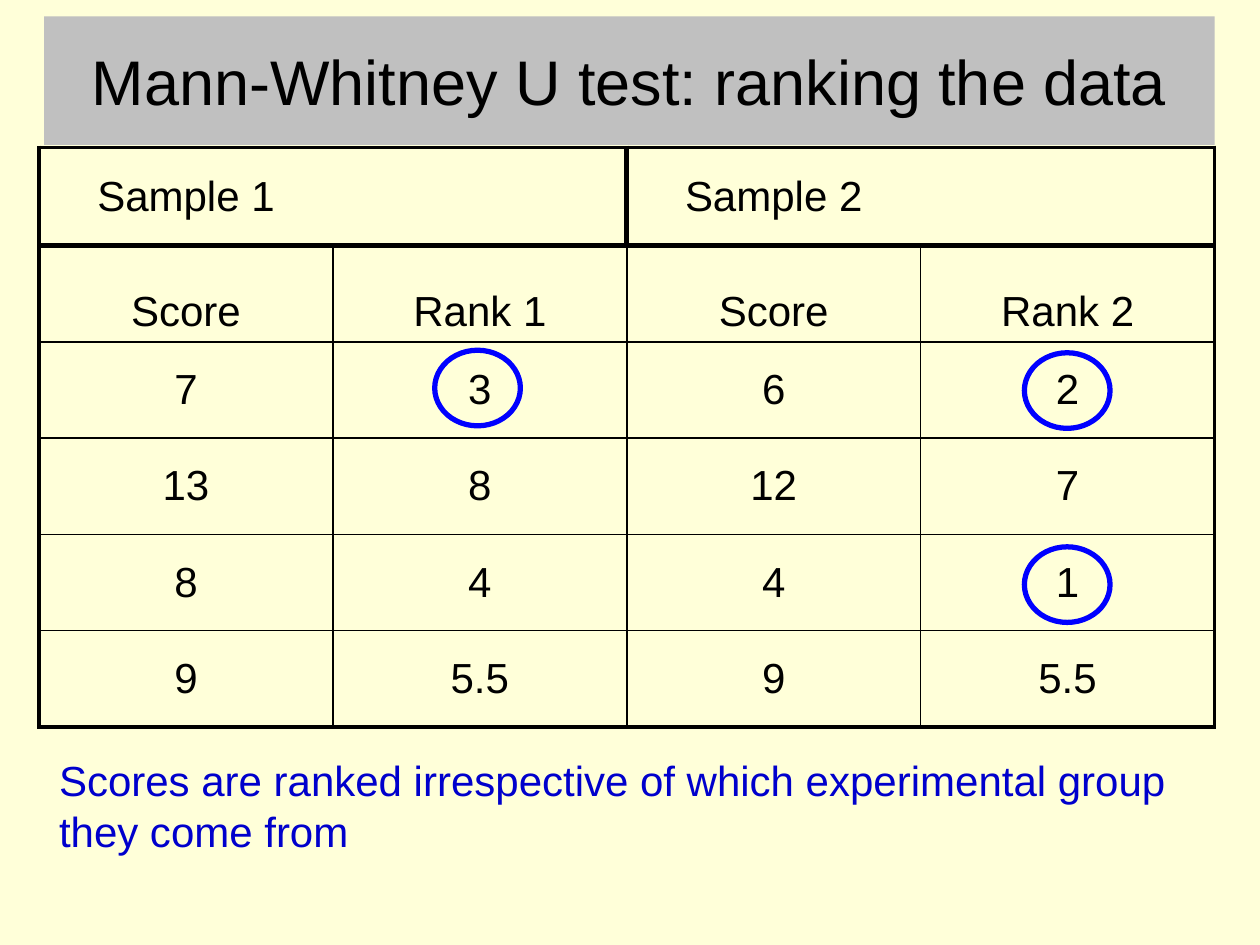
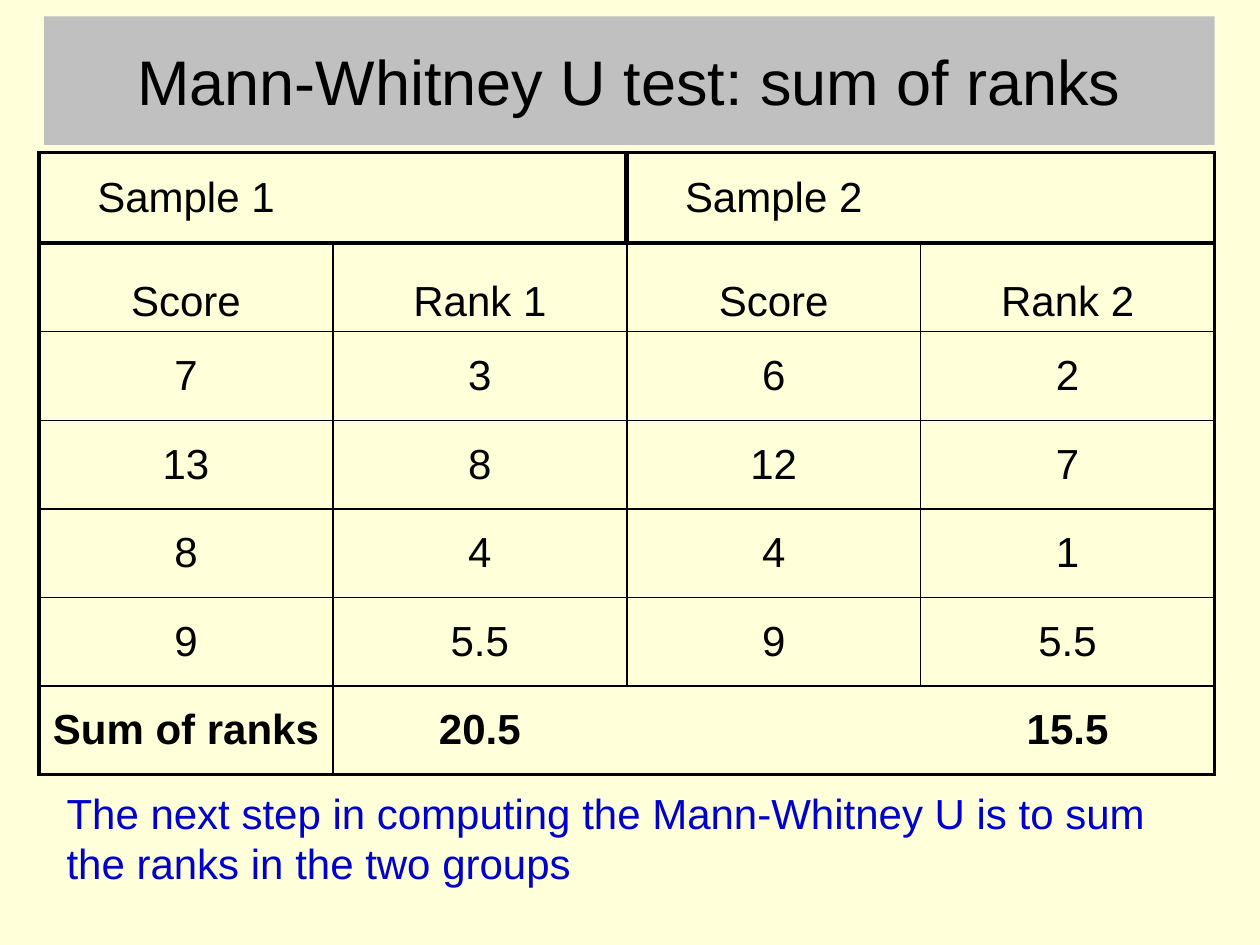
from dataclasses import dataclass

from lxml import etree
from pptx import Presentation
from pptx.dml.color import RGBColor
from pptx.enum.shapes import MSO_SHAPE
from pptx.enum.text import MSO_ANCHOR, PP_ALIGN
from pptx.oxml.ns import qn
from pptx.util import Inches, Pt

RECT, OVAL = MSO_SHAPE.RECTANGLE, MSO_SHAPE.OVAL
MIDDLE, BOTTOM = MSO_ANCHOR.MIDDLE, MSO_ANCHOR.BOTTOM
LEFT, CENTER = PP_ALIGN.LEFT, PP_ALIGN.CENTER


@dataclass(frozen=True)
class Theme:
    font: str = "Arial"
    paper: str = "FFFFD9"
    band: str = "C0C0C0"
    ink: str = "000000"
    note: str = "0000CC"
    ring: str = "0000FF"
    title_size: int = 36
    body_size: int = 24
    thin: float = 1
    frame: float = 2.25
    heavy: float = 3


T = Theme()
TITLE_BOX = (0.35, 0.13, 9.29, 1.02)
RING_SIZE = (0.68, 0.6)

HEADER = [["Sample 1", "", "Sample 2", ""],
          ["Score", "Rank 1", "Score", "Rank 2"]]
RANKS = [["7", "3", "6", "2"],
         ["13", "8", "12", "7"],
         ["8", "4", "4", "1"],
         ["9", "5.5", "9", "5.5"]]
TOTAL = ["Sum of ranks", "20.5", "", "15.5"]


def inches(box):
    return [Inches(v) for v in box]


def write(tf, text, size, color, align=CENTER, bold=False):
    p = tf.paragraphs[0]
    p.alignment = align
    r = p.add_run()
    r.text = text
    style = {"name": T.font, "size": Pt(size), "bold": bold}
    for name, value in style.items():
        setattr(r.font, name, value)
    r.font.color.rgb = RGBColor.from_string(color)
    return p


def add_title(s, box, text):
    sp = s.shapes.add_shape(RECT, *inches(box))
    sp.shadow.inherit = False
    sp.fill.solid()
    sp.fill.fore_color.rgb = RGBColor.from_string(T.band)
    sp.line.fill.background()
    tf = sp.text_frame
    tf.word_wrap = True
    tf.vertical_anchor = MIDDLE
    write(tf, text, T.title_size, T.ink)


def add_note(s, box, text):
    tf = s.shapes.add_textbox(*inches(box)).text_frame
    tf.word_wrap = True
    p = write(tf, text, T.body_size, T.note, LEFT)
    p.space_before = Pt(2)


def add_ring(s, left, top):
    sp = s.shapes.add_shape(OVAL, *inches((left, top, *RING_SIZE)))
    sp.shadow.inherit = False
    sp.fill.background()
    sp.line.color.rgb = RGBColor.from_string(T.ring)
    sp.line.width = Pt(T.heavy)


def set_borders(cell, widths):
    """Draw the four sides; a width of 0 hides that side."""
    tc_pr = cell._tc.get_or_add_tcPr()
    for i, (side, width) in enumerate(widths.items()):
        ln = etree.Element(qn("a:ln" + side), w=str(int(Pt(width))))
        if width:
            fill = etree.SubElement(ln, qn("a:solidFill"))
            etree.SubElement(fill, qn("a:srgbClr"), val=T.ink)
        else:
            etree.SubElement(ln, qn("a:noFill"))
        tc_pr.insert(i, ln)


def vertical_rule(row, edge, cols, is_total):
    """Width of the rule at a column edge, from 0 (left) to cols (right)."""
    if edge in (0, cols):
        return T.frame
    if row == 0:
        return T.heavy if edge == cols // 2 else 0
    return 0 if is_total and edge > 1 else T.thin


def horizontal_rule(edge, rows):
    if edge in (0, rows):
        return T.frame
    return T.heavy if edge == 1 else T.thin


def add_rank_table(s, box, data, head_height):
    rows, cols = len(data), len(data[0])
    table = s.shapes.add_table(rows, cols, *inches(box)).table
    table.first_row = table.horz_banding = False
    for col in table.columns:
        col.width = Inches(box[2] / cols)
    row_height = (box[3] - head_height) / (rows - 1)
    for i, values in enumerate(data):
        table.rows[i].height = Inches(row_height if i else head_height)
        is_total = values is TOTAL
        for j, value in enumerate(values):
            cell = table.cell(i, j)
            cell.fill.background()
            cell.vertical_anchor = BOTTOM if i == 1 else MIDDLE
            if value:
                write(cell.text_frame, value, T.body_size, T.ink, bold=is_total)
            set_borders(cell, {
                "L": vertical_rule(i, j, cols, is_total),
                "R": vertical_rule(i, j + 1, cols, is_total),
                "T": horizontal_rule(i, rows),
                "B": horizontal_rule(i + 1, rows)})


def add_test_slide(prs, title, data, table_box, head_height, note, note_box, rings=()):
    s = prs.slides.add_slide(prs.slide_layouts[6])
    s.background.fill.solid()
    s.background.fill.fore_color.rgb = RGBColor.from_string(T.paper)
    add_title(s, TITLE_BOX, title)
    add_rank_table(s, table_box, data, head_height)
    add_note(s, note_box, note)
    for left, top in rings:
        add_ring(s, left, top)


prs = Presentation()
prs.slide_width, prs.slide_height = Inches(10), Inches(7.5)

# Ranking, with the three lowest ranks ringed
add_test_slide(
    prs, "Mann-Whitney U test: ranking the data", HEADER + RANKS,
    (0.31, 1.17, 9.33, 4.6), 0.78,
    "Scores are ranked irrespective of which experimental group they come from",
    (0.37, 5.94, 9.31, 0.9),
    rings=[(8.13, 4.34), (3.45, 2.78), (8.13, 2.8)])

# Sum of ranks
add_test_slide(
    prs, "Mann-Whitney U test: sum of ranks", HEADER + RANKS + [TOTAL],
    (0.31, 1.21, 9.33, 4.94), 0.72,
    "The next step in computing the Mann-Whitney U is to sum the ranks in the two groups",
    (0.43, 6.2, 9.31, 0.9))

prs.save("out.pptx")
